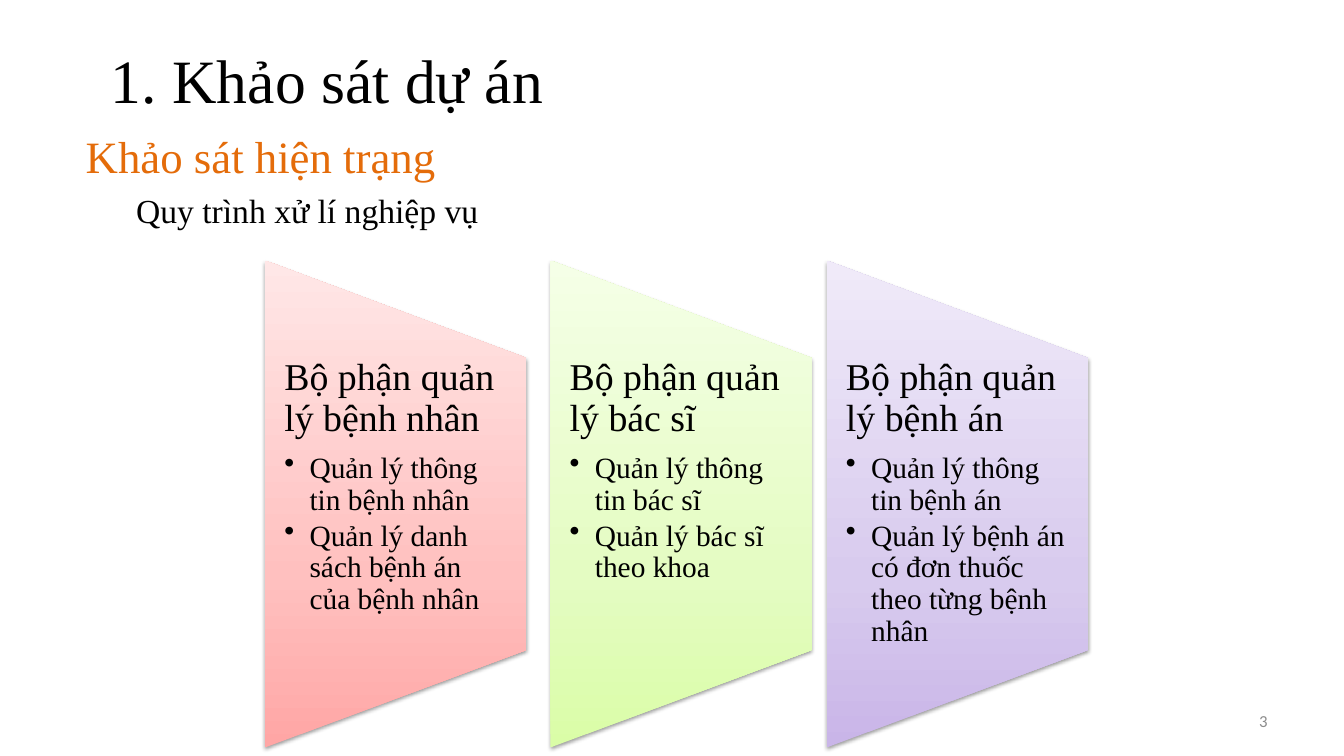
import pptx
import pptx.util
import pptx.oxml
import pptx.dml.color
import pptx.enum.shapes
import pptx.enum.text
from dataclasses import dataclass

TITLE = "1. Khảo sát dự án"
BODY = ["Khảo sát hiện trạng", "Quy trình xử lí nghiệp vụ"]
PAGE = "3"
PANELS = [
    ("Bộ phận quản lý bệnh nhân",
     ["Quản lý thông tin bệnh nhân", "Quản lý danh sách bệnh án của bệnh nhân"],
     2.63, ("FFA6A5", "FFC0BF", "FFE7E7")),
    ("Bộ phận quản lý bác sĩ",
     ["Quản lý thông tin bác sĩ", "Quản lý bác sĩ theo khoa"],
     5.46, ("DAFDA7", "E4FCC2", "F5FFE7")),
    ("Bộ phận quản lý bệnh án",
     ["Quản lý thông tin bệnh án", "Quản lý bệnh án có đơn thuốc theo từng bệnh nhân"],
     8.2, ("C9B5E8", "D8CBEE", "F0EAF9")),
]


@dataclass(frozen=True)
class Theme:
    serif: str = "Times New Roman"
    sans: str = "Calibri"
    ink: str = "000000"
    accent: str = "E46C0A"
    muted: str = "8C8C8C"
    title: int = 44
    head: int = 32
    sub: int = 24
    panel: int = 27
    item: int = 21
    page: int = 12


LOOK = Theme()
WIDE, HIGH = 13.33, 7.5
PANEL_W, PANEL_H = 2.59, 4.83
TEXT_H = 0.6 * PANEL_H
MID = 5.0
STOPS = (0, 35, 100)
NS = 'xmlns:a="http://schemas.openxmlformats.org/drawingml/2006/main"'

inch = pptx.util.Inches
point = pptx.util.Pt
ALIGN = pptx.enum.text.PP_ALIGN
ANCHOR = pptx.enum.text.MSO_ANCHOR


def place(shape, left, top, width, height):
    shape.left, shape.top = inch(left), inch(top)
    shape.width, shape.height = inch(width), inch(height)


def style(para, size, color=LOOK.ink, face=LOOK.serif):
    for run in para.runs:
        run.font.size = point(size)
        run.font.name = face
        run.font.color.rgb = pptx.dml.color.RGBColor.from_string(color)


def indent(para, left, mark=None):
    props = para._p.get_or_add_pPr()
    props.set("marL", str(inch(left[0])))
    props.set("indent", str(inch(left[1])))
    tag = f'<a:buChar {NS} char="{mark}"/>' if mark else f"<a:buNone {NS}/>"
    props.append(pptx.oxml.parse_xml(tag))


def paint(shape, colors):
    stops = "".join(
        f'<a:gs pos="{pos * 1000}"><a:srgbClr val="{color}"/></a:gs>'
        for pos, color in zip(STOPS, colors))
    parts = [
        f'<a:gradFill {NS} rotWithShape="0"><a:gsLst>{stops}</a:gsLst>'
        '<a:lin ang="16200000" scaled="0"/></a:gradFill>',
        f"<a:ln {NS}><a:noFill/></a:ln>",
        f'<a:effectLst {NS}><a:outerShdw blurRad="{point(3.1)}" dist="{point(1.6)}" '
        'dir="5400000" rotWithShape="0"><a:srgbClr val="000000">'
        '<a:alpha val="38000"/></a:srgbClr></a:outerShdw></a:effectLst>',
    ]
    for part in parts:
        shape._element.spPr.append(pptx.oxml.parse_xml(part))


def add_text(slide, left, top, width, height):
    box = slide.shapes.add_textbox(inch(left), inch(top), inch(width), inch(height))
    box.text_frame.word_wrap = True
    return box.text_frame


def add_panel(slide, head, items, left, colors):
    kind = pptx.enum.shapes.MSO_SHAPE.FLOWCHART_MANUAL_OPERATION
    shape = slide.shapes.add_shape(
        kind, inch(left + (PANEL_W - PANEL_H) / 2), inch(MID - PANEL_W / 2),
        inch(PANEL_H), inch(PANEL_W))
    shape.rotation = 270
    paint(shape, colors)
    frame = add_text(slide, left, MID - TEXT_H / 2, PANEL_W, TEXT_H)
    frame.margin_left = frame.margin_right = inch(0.19)
    frame.margin_top = frame.margin_bottom = 0
    frame.text = "\n".join([head, *items])
    for row, para in enumerate(frame.paragraphs):
        size, share = (LOOK.item, 0.15) if row else (LOOK.panel, 0.35)
        para.line_spacing = 0.9
        para.space_after = point(size * share)
        style(para, size)
        if row:
            para.level = 1
            indent(para, (0.25, -0.25), "•")


def main():
    deck = pptx.Presentation()
    deck.slide_width, deck.slide_height = inch(WIDE), inch(HIGH)
    slide = deck.slides.add_slide(deck.slide_layouts[1])

    title = slide.shapes.title
    place(title, 1, 0.22, 11.41, 1.12)
    title.text_frame.text = TITLE
    title.text_frame.vertical_anchor = ANCHOR.MIDDLE
    title.text_frame.paragraphs[0].alignment = ALIGN.LEFT
    style(title.text_frame.paragraphs[0], LOOK.title)

    body = slide.placeholders[1]
    place(body, 0.75, 1.23, 11.42, 5.83)
    body.text_frame.text = "\n".join(BODY)
    head, sub = body.text_frame.paragraphs
    sub.level = 1
    indent(head, (0.38, -0.38))
    indent(sub, (0.81, -0.31))
    style(head, LOOK.head, LOOK.accent)
    style(sub, LOOK.sub)

    for panel in PANELS:
        add_panel(slide, *panel)

    page = add_text(slide, 9.56, 6.95, 3.11, 0.4)
    page.text = PAGE
    page.vertical_anchor = ANCHOR.MIDDLE
    page.paragraphs[0].alignment = ALIGN.RIGHT
    style(page.paragraphs[0], LOOK.page, LOOK.muted, LOOK.sans)

    deck.save("out.pptx")


if __name__ == "__main__":
    main()
